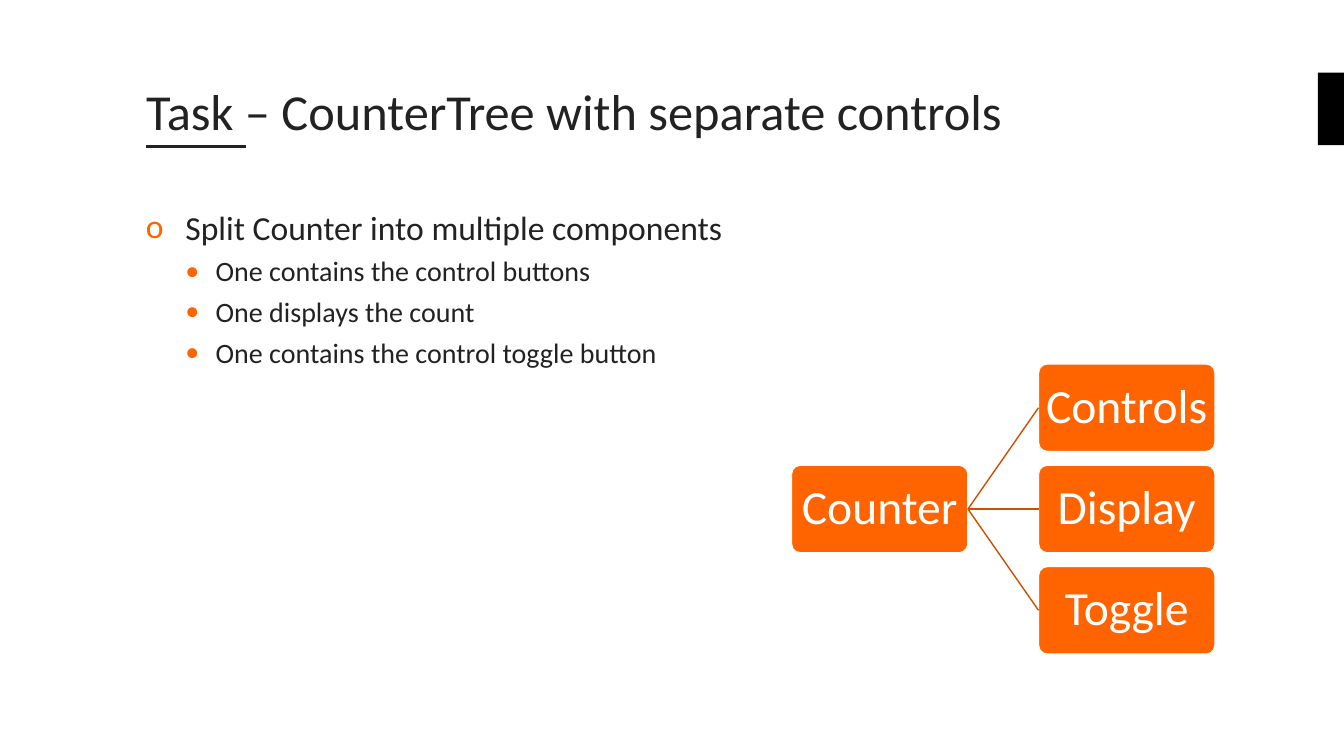
from dataclasses import dataclass

from lxml.etree import SubElement
from pptx import Presentation
from pptx.dml.color import RGBColor
from pptx.enum.shapes import MSO_CONNECTOR as Connector, MSO_SHAPE as Preset
from pptx.enum.text import MSO_ANCHOR as Anchor, MSO_AUTO_SIZE as AutoSize, PP_ALIGN as Align
from pptx.oxml.ns import qn
from pptx.util import Inches, Pt

INK, ORANGE, RUST, WHITE, BLACK = "222222", "FF6400", "CC5000", "FFFFFF", "000000"
BOX_WIDTH, BOX_HEIGHT, BOX_PITCH = 1.75, 0.87, 1.005
PARENT_LEFT, CHILD_LEFT, CHILD_TOP = 7.85, 10.3, 3.61


@dataclass
class Bullet:
    text: str
    level: int = 1


@dataclass
class BulletStyle:
    symbol: str
    size: float
    indent: float
    hanging: float
    before: float


@dataclass
class Component:
    name: str
    left: float
    top: float


BULLETS = [
    Bullet("Split Counter into multiple components", 0),
    Bullet("One contains the control buttons"),
    Bullet("One displays the count"),
    Bullet("One contains the control toggle button"),
]
STYLES = [BulletStyle("o", 24, 0.39, 0.39, 10), BulletStyle("•", 20, 0.69, 0.3, 5)]
PARENT = Component("Counter", PARENT_LEFT, CHILD_TOP + BOX_PITCH)
CHILDREN = [
    Component(name, CHILD_LEFT, CHILD_TOP + row * BOX_PITCH)
    for row, name in enumerate(["Controls", "Display", "Toggle"])
]


def colour(value: str) -> RGBColor:
    return RGBColor.from_string(value)


def write(para, text: str, *, size: float, color: str = INK, align=Align.LEFT,
          before: float = 0, spacing: float = 1.0) -> None:
    para.alignment = align
    para.space_before = Pt(before)
    para.line_spacing = spacing
    span = para.add_run()
    span.text = text
    span.font.name = "Calibri"
    span.font.size = Pt(size)
    span.font.color.rgb = colour(color)


def add_title(page, text: str) -> None:
    title = page.shapes.title
    title.left, title.top, title.width, title.height = map(Inches, (1.35, 0.4, 11.1, 1.05))
    frame = title.text_frame
    frame.auto_size = AutoSize.NONE
    frame.word_wrap = True
    frame.vertical_anchor = Anchor.BOTTOM
    write(frame.paragraphs[0], text, size=36, spacing=0.9)


def add_bullets(page, bullets: list[Bullet]) -> None:
    frame = page.shapes.add_textbox(*map(Inches, (1.35, 2, 9.17, 4.76))).text_frame
    frame.word_wrap = True
    for index, bullet in enumerate(bullets):
        style = STYLES[bullet.level]
        para = frame.add_paragraph() if index else frame.paragraphs[0]
        para.level = bullet.level
        write(para, bullet.text, size=style.size, before=style.before)
        properties = para._p.get_or_add_pPr()
        properties.set("marL", str(Inches(style.indent)))
        properties.set("indent", str(-Inches(style.hanging)))
        SubElement(SubElement(properties, qn("a:buClr")), qn("a:srgbClr"), val=ORANGE)
        SubElement(properties, qn("a:buFont"), typeface="Calibri")
        SubElement(properties, qn("a:buChar"), char=style.symbol)


def add_line(page, start: tuple, end: tuple, color: str, weight: float):
    line = page.shapes.add_connector(Connector.STRAIGHT, *map(Inches, start + end))
    line.line.color.rgb = colour(color)
    line.line.width = Pt(weight)
    SubElement(line._element.spPr, qn("a:effectLst"))
    return line


def add_component(page, component: Component):
    box = page.shapes.add_shape(
        Preset.ROUNDED_RECTANGLE,
        *map(Inches, (component.left, component.top, BOX_WIDTH, BOX_HEIGHT)))
    box.adjustments[0] = 0.1
    box.shadow.inherit = False
    box.fill.solid()
    box.fill.fore_color.rgb = colour(ORANGE)
    box.line.color.rgb = colour(WHITE)
    box.line.width = Pt(1)
    frame = box.text_frame
    frame.margin_left = frame.margin_right = Inches(0.04)
    frame.margin_top = frame.margin_bottom = Inches(0.04)
    frame.word_wrap = True
    frame.vertical_anchor = Anchor.MIDDLE
    write(frame.paragraphs[0], component.name, size=34, color=WHITE,
          align=Align.CENTER, spacing=0.9)
    return box


def add_tree(page, parent: Component, children: list[Component]) -> None:
    parent_box = add_component(page, parent)
    start = (parent.left + BOX_WIDTH, parent.top + BOX_HEIGHT / 2)
    for child in children:
        child_box = add_component(page, child)
        branch = add_line(page, start, (child.left, child.top + BOX_HEIGHT / 2), RUST, 1)
        branch.begin_connect(parent_box, 3)
        branch.end_connect(child_box, 1)


def add_edge_tab(page) -> None:
    tab = page.shapes.add_shape(Preset.RECTANGLE, *map(Inches, (13.07, 0.72, 0.26, 0.72)))
    tab.shadow.inherit = False
    tab.fill.solid()
    tab.fill.fore_color.rgb = colour(BLACK)
    tab.line.fill.background()


def main() -> None:
    deck = Presentation()
    deck.slide_width, deck.slide_height = Inches(13.33), Inches(7.5)
    page = deck.slides.add_slide(deck.slide_layouts[5])
    add_edge_tab(page)
    add_line(page, (1.45, 1.45), (2.44, 1.45), INK, 2)
    add_title(page, "Task – CounterTree with separate controls")
    add_bullets(page, BULLETS)
    add_tree(page, PARENT, CHILDREN)
    deck.save("out.pptx")


if __name__ == "__main__":
    main()
